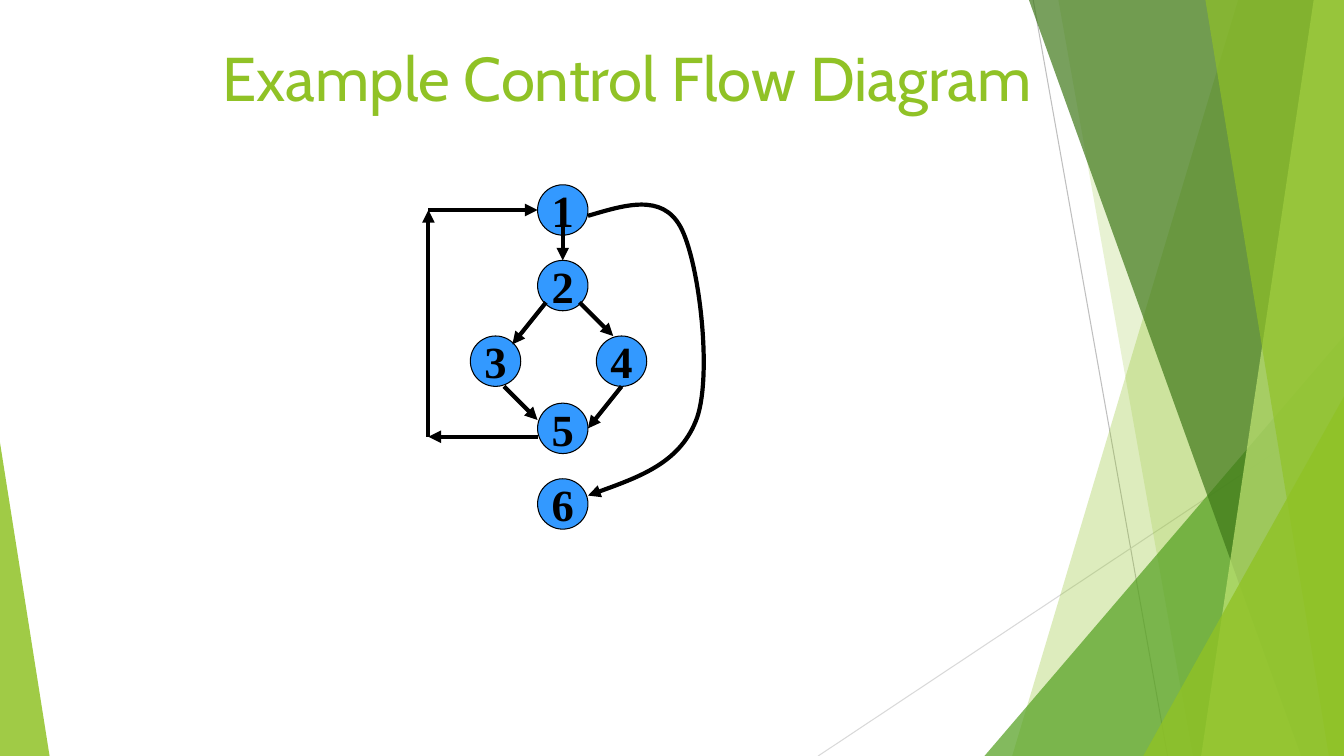
"""Build the control flow diagram slide on a grid of 160 columns by 90 rows."""
from dataclasses import dataclass
from itertools import count
from typing import Any, Iterable, Union

from lxml import etree
from pptx import Presentation
from pptx import util as u
from pptx.dml import color as dml
from pptx.enum import shapes, text
from pptx.oxml import ns

COLUMNS, ROWS, CELLS_PER_INCH = 160, 90, 12
Point = tuple[float, float]


@dataclass(frozen=True)
class Theme:
    """Colours, fonts and sizes of the slide."""
    lime: str = "90C226"
    green: str = "54A021"
    forest: str = "3F7819"
    pale: str = "C0E474"
    node: str = "3399FF"
    ink: str = "000000"
    ray: str = "BFBFBF"
    faint_ray: str = "D9D9D9"
    title_font: str = "Cabin"
    node_font: str = "Times New Roman"
    title_size: float = 44.1
    node_size: float = 31.8
    thin: float = 0.75
    thick: float = 3


@dataclass(frozen=True)
class Panel:
    """Full-height band from a slanted left edge to the right of the slide."""
    top_column: float
    bottom_column: float
    color: str
    opacity: int


@dataclass(frozen=True)
class Spike:
    """Right triangle standing on the bottom of the slide."""
    left: float
    top: float
    right: float
    apex: float
    color: str
    opacity: int


@dataclass(frozen=True)
class Node:
    """Numbered circle of the diagram."""
    label: str
    left: float
    top: float


@dataclass(frozen=True)
class Edge:
    """Straight line between two grid points."""
    start: Point
    end: Point
    color: str
    width: float
    arrow: bool = False


THEME = Theme()
NODE_SPAN = 6
RAYS = (
    Edge((123, 0), (139, ROWS), THEME.ray, THEME.thin),
    Edge((COLUMNS, 48.4), (97.4, ROWS), THEME.faint_ray, THEME.thin),
)
FACETS = (
    Panel(147.4, 120.5, THEME.lime, 30),
    Panel(126, 142, THEME.lime, 20),
    Spike(117.2, 40, COLUMNS, 1, THEME.green, 72),
    Panel(122.5, 154.9, THEME.forest, 70),
    Panel(156.4, 143, THEME.pale, 70),
    Panel(143.5, 158.2, THEME.lime, 65),
    Spike(136.1, 47.2, COLUMNS, 1, THEME.lime, 80),
    Spike(0, 52.7, 5.9, 0, THEME.lime, 85),
)
NODE_CORNERS = ((64, 22), (64, 31), (56, 40), (71, 40), (64, 48), (64, 57))
NODES = [Node(str(number), *corner) for number, corner in zip(count(1), NODE_CORNERS)]
ROUTES = (
    ((67, 27), (67, 31)),
    ((65, 36), (61, 41)),
    ((69, 36), (73, 40)),
    ((60, 46), (64, 50)),
    ((74, 46), (70, 51)),
    ((64, 52), (51, 52)),
    ((51, 52), (51, 25)),
    ((51, 25), (64, 25)),
)
EXIT_CURVE = (
    (70, 25.7),
    (74.4, 24.4), (78.8, 23), (81, 27),
    (83.2, 31), (84.8, 44.3), (83, 49.7),
    (81.1, 55), (75.6, 57), (70, 59),
)


def cells(*numbers: float) -> list[u.Length]:
    """Turn grid cells into lengths."""
    return [u.Inches(number / CELLS_PER_INCH) for number in numbers]


def rgb(value: str) -> dml.RGBColor:
    """Turn a hexadecimal value into a colour."""
    return dml.RGBColor.from_string(value)


def write_text(frame: Any, words: str, *, font: str, size: float, color: str,
               bold: bool, align: Any, anchor: Any, wrap: bool) -> None:
    """Put one formatted paragraph into a text frame."""
    frame.auto_size = text.MSO_AUTO_SIZE.NONE
    frame.word_wrap = wrap
    frame.vertical_anchor = anchor
    para = frame.paragraphs[0]
    para.alignment = align
    span = para.add_run()
    span.text = words
    span.font.name, span.font.size, span.font.bold = font, u.Pt(size), bold
    span.font.color.rgb = rgb(color)


def set_line(shape: Any, color: str, width: float, arrow: bool = False) -> None:
    """Give a shape its line and, if asked, an arrowhead at the end."""
    shape.line.color.rgb = rgb(color)
    shape.line.width = u.Pt(width)
    if arrow:
        line = shape.element.spPr.find(ns.qn("a:ln"))
        etree.SubElement(line, ns.qn("a:tailEnd"), type="triangle")


def set_fill(shape: Any, color: str, opacity: int = 100) -> None:
    """Give a shape a flat fill without shadow."""
    shape.shadow.inherit = False
    shape.fill.solid()
    shape.fill.fore_color.rgb = rgb(color)
    if opacity < 100:
        tint = shape.element.spPr.find(".//" + ns.qn("a:srgbClr"))
        etree.SubElement(tint, ns.qn("a:alpha"), val=str(opacity * 1000))


def draw_outline(slide: Any, points: Iterable[Point], close: bool) -> Any:
    """Draw a freeform through grid points."""
    first, *rest = [cells(*point) for point in points]
    builder = slide.shapes.build_freeform(*first)
    builder.add_line_segments(rest, close=close)
    return builder.convert_to_shape()


def draw_facet(slide: Any, facet: Union[Panel, Spike]) -> None:
    """Draw one translucent part of the backdrop."""
    if isinstance(facet, Panel):
        corners = ((facet.top_column, 0), (COLUMNS, 0),
                   (COLUMNS, ROWS), (facet.bottom_column, ROWS))
        shape = draw_outline(slide, corners, close=True)
    else:
        box = cells(facet.left, facet.top, facet.right - facet.left, ROWS - facet.top)
        shape = slide.shapes.add_shape(shapes.MSO_SHAPE.ISOSCELES_TRIANGLE, *box)
        shape.adjustments[0] = facet.apex
    set_fill(shape, facet.color, facet.opacity)
    shape.line.fill.background()


def draw_edge(slide: Any, edge: Edge) -> None:
    """Draw one straight connector."""
    connector = slide.shapes.add_connector(
        shapes.MSO_CONNECTOR.STRAIGHT, *cells(*edge.start, *edge.end))
    set_line(connector, edge.color, edge.width, edge.arrow)
    etree.SubElement(connector.element.spPr, ns.qn("a:effectLst"))


def draw_node(slide: Any, node: Node) -> None:
    """Draw one numbered circle."""
    box = cells(node.left, node.top, NODE_SPAN, NODE_SPAN)
    circle = slide.shapes.add_shape(shapes.MSO_SHAPE.OVAL, *box)
    set_fill(circle, THEME.node)
    set_line(circle, THEME.ink, THEME.thin)
    write_text(circle.text_frame, node.label, font=THEME.node_font, size=THEME.node_size,
               color=THEME.ink, bold=True, align=text.PP_ALIGN.CENTER,
               anchor=text.MSO_ANCHOR.MIDDLE, wrap=False)


def draw_curve(slide: Any, points: Iterable[Point]) -> None:
    """Draw an arrow along Bezier points, three for each piece after the first."""
    curve = draw_outline(slide, points, close=False)
    outline = curve.element.spPr.find(".//" + ns.qn("a:path"))
    steps = iter(outline.findall(ns.qn("a:lnTo")))
    for piece in zip(steps, steps, steps):
        bend = etree.SubElement(outline, ns.qn("a:cubicBezTo"))
        for step in piece:
            bend.append(step[0])
            outline.remove(step)
    curve.shadow.inherit = False
    curve.fill.background()
    set_line(curve, THEME.ink, THEME.thick, arrow=True)


def place_title(slide: Any, words: str) -> None:
    """Place the title placeholder in front of the backdrop."""
    title = slide.shapes.title
    title.left, title.top, title.width, title.height = cells(25.3, 4.1, 102, 15)
    write_text(title.text_frame, words, font=THEME.title_font, size=THEME.title_size,
               color=THEME.lime, bold=False, align=text.PP_ALIGN.LEFT,
               anchor=text.MSO_ANCHOR.TOP, wrap=True)
    title.element.getparent().append(title.element)


def main() -> None:
    """Build and save the deck."""
    deck = Presentation()
    deck.slide_width, deck.slide_height = cells(COLUMNS, ROWS)
    page = deck.slides.add_slide(deck.slide_layouts.get_by_name("Title Only"))
    for ray in RAYS:
        draw_edge(page, ray)
    for facet in FACETS:
        draw_facet(page, facet)
    place_title(page, "Example Control Flow Diagram")
    for node in NODES:
        draw_node(page, node)
    for start, end in ROUTES:
        draw_edge(page, Edge(start, end, THEME.ink, THEME.thick, arrow=True))
    draw_curve(page, EXIT_CURVE)
    deck.save("out.pptx")


if __name__ == "__main__":
    main()
